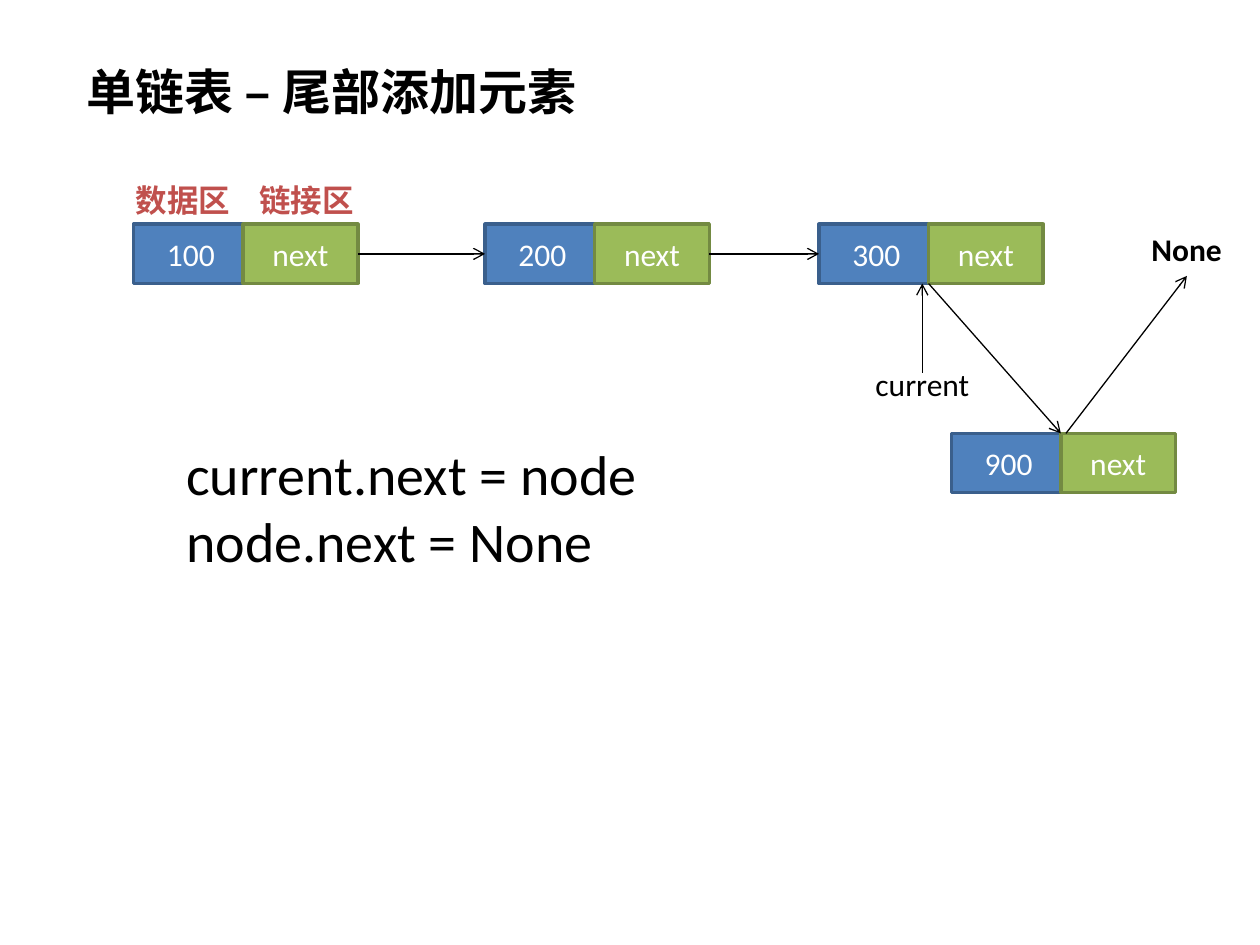
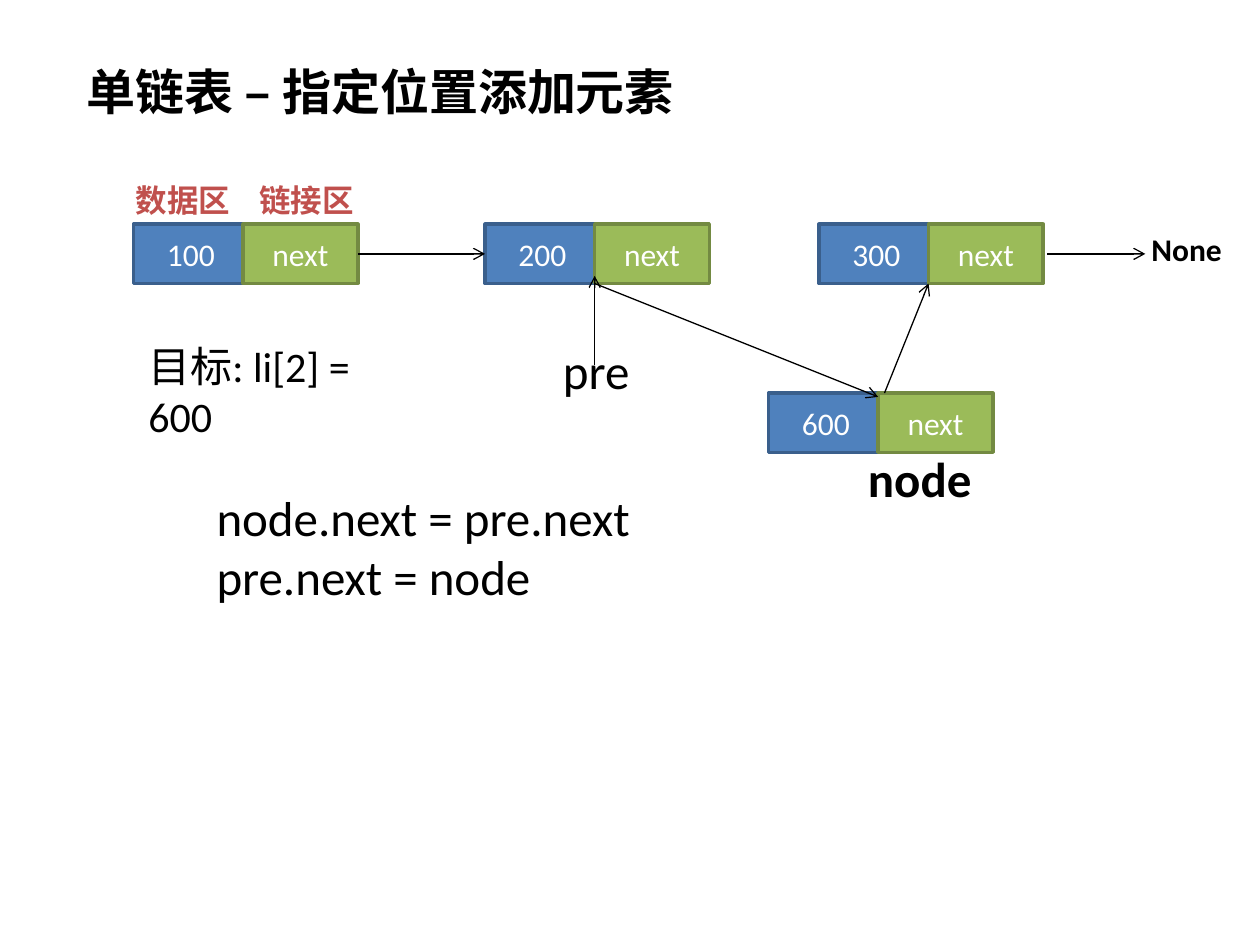
from dataclasses import dataclass

from lxml.etree import SubElement
from pptx import Presentation
from pptx.dml.color import RGBColor
from pptx.enum.shapes import MSO_CONNECTOR, MSO_SHAPE
from pptx.enum.text import MSO_ANCHOR, PP_ALIGN
from pptx.oxml.ns import qn
from pptx.util import Inches, Pt


@dataclass(frozen=True)
class Theme:
    font: str = "Calibri"
    black: str = "000000"
    white: str = "FFFFFF"
    red: str = "C0504D"
    data_fill: str = "4F81BD"
    data_line: str = "3A5F8C"
    next_fill: str = "9BBB59"
    next_line: str = "738A42"
    small: int = 18
    medium: int = 24
    large: int = 28
    huge: int = 32
    cell_line: float = 2
    arrow_line: float = 0.75


THEME = Theme()
CELL_WIDTH, CELL_HEIGHT = 0.91, 0.47
NEXT_OFFSET = 0.87
LIST_TOP = 1.78
LIST_MIDDLE = LIST_TOP + CELL_HEIGHT / 2
LIST_BOTTOM = LIST_TOP + CELL_HEIGHT
LIST_NODES = {"100": 1.06, "200": 3.85, "300": 6.5}
LEFT, RIGHT = 1, 3


def set_attributes(target, values):
    for name, value in values.items():
        setattr(target, name, value)


def write_lines(frame, lines, size, color, bold=False, align=PP_ALIGN.LEFT):
    for index, line in enumerate(lines):
        para = frame.paragraphs[0] if index == 0 else frame.add_paragraph()
        para.alignment = align
        span = para.add_run()
        span.text = line
        set_attributes(span.font, {"name": THEME.font, "size": Pt(size), "bold": bold})
        span.font.color.rgb = RGBColor.from_string(color)


def add_text(page, area, lines, size, color=THEME.black, bold=False, wrap=False):
    box = page.shapes.add_textbox(*map(Inches, area))
    box.text_frame.word_wrap = wrap
    write_lines(box.text_frame, lines, size, color, bold)


def add_cell(page, left, top, text, fill, line):
    cell = page.shapes.add_shape(
        MSO_SHAPE.RECTANGLE, *map(Inches, (left, top, CELL_WIDTH, CELL_HEIGHT)))
    cell.shadow.inherit = False
    cell.fill.solid()
    cell.fill.fore_color.rgb = RGBColor.from_string(fill)
    cell.line.color.rgb = RGBColor.from_string(line)
    cell.line.width = Pt(THEME.cell_line)
    cell.text_frame.vertical_anchor = MSO_ANCHOR.MIDDLE
    write_lines(cell.text_frame, [text], THEME.small, THEME.white, align=PP_ALIGN.CENTER)
    return cell


def add_node(page, left, top, value):
    """Draw a list node and return its data cell and its link cell."""
    data_cell = add_cell(page, left, top, value, THEME.data_fill, THEME.data_line)
    next_cell = add_cell(page, left + NEXT_OFFSET, top, "next",
                         THEME.next_fill, THEME.next_line)
    return data_cell, next_cell


def add_arrow(page, start, end):
    arrow = page.shapes.add_connector(
        MSO_CONNECTOR.STRAIGHT, *map(Inches, (*start, *end)))
    arrow.line.color.rgb = RGBColor.from_string(THEME.black)
    arrow.line.width = Pt(THEME.arrow_line)
    properties = arrow._element.spPr
    SubElement(properties.find(qn("a:ln")), qn("a:tailEnd"), type="arrow")
    SubElement(properties, qn("a:effectLst"))
    return arrow


def link_nodes(page, source, target):
    arrow = add_arrow(page, (0, 0), (0, 0))
    arrow.begin_connect(source[1], RIGHT)
    arrow.end_connect(target[0], LEFT)


def add_list_page(deck, title, title_width):
    """Add a page with the title, the three list nodes and the None label."""
    page = deck.slides.add_slide(deck.slide_layouts[6])
    add_text(page, (0.59, 0.44, title_width, 0.57), [title], THEME.large, bold=True)
    nodes = [add_node(page, left, LIST_TOP, value) for value, left in LIST_NODES.items()]
    add_text(page, (9.04, LIST_TOP, 0.76, 0.4), ["None"], THEME.small, bold=True)
    for left, label in ((0.98, "数据区"), (1.96, "链接区")):
        add_text(page, (left, 1.39, 0.95, 0.4), [label], THEME.small, THEME.red, bold=True)
    link_nodes(page, nodes[0], nodes[1])
    return page, nodes


def build_append_page(deck):
    page, nodes = add_list_page(deck, "单链表 – 尾部添加元素", 4.13)
    link_nodes(page, nodes[1], nodes[2])
    new_left, new_top = 7.55, 3.44
    add_node(page, new_left, new_top, "900")
    add_arrow(page, (LIST_NODES["300"] + NEXT_OFFSET, LIST_BOTTOM),
              (new_left + NEXT_OFFSET, new_top))
    add_arrow(page, (8.46, new_top), (9.42, 2.19))
    add_text(page, (1.38, 3.44, 5.58, 1.18),
             ["current.next = node", "node.next = None"], THEME.huge, wrap=True)
    add_arrow(page, (7.32, 2.96), (7.32, LIST_BOTTOM))
    add_text(page, (6.85, 2.85, 1.03, 0.4), ["current"], THEME.small, wrap=True)


def build_insert_page(deck):
    page, _ = add_list_page(deck, "单链表 – 指定位置添加元素", 4.92)
    add_arrow(page, (8.31, LIST_MIDDLE), (9.09, LIST_MIDDLE))
    add_text(page, (1.08, 2.65, 2.3, 0.5), ["目标: li[2] = 600"], THEME.medium, wrap=True)
    new_left, new_top = 6.1, 3.12
    add_node(page, new_left, new_top, "600")
    previous_link = LIST_NODES["200"] + NEXT_OFFSET
    add_arrow(page, (previous_link, LIST_BOTTOM), (new_left + NEXT_OFFSET, 3.15))
    add_arrow(page, (7.02, new_top), (LIST_NODES["300"] + NEXT_OFFSET, LIST_BOTTOM))
    add_arrow(page, (previous_link, 2.9), (previous_link, 2.19))
    add_text(page, (4.37, 2.65, 0.73, 0.57), ["pre"], THEME.large)
    add_text(page, (6.79, 3.51, 1.03, 0.57), ["node"], THEME.large, bold=True)
    add_text(page, (1.62, 3.82, 4.09, 1.04),
             ["node.next = pre.next", "pre.next = node"], THEME.large, wrap=True)


def main():
    deck = Presentation()
    set_attributes(deck, {"slide_width": Inches(10), "slide_height": Inches(7.5)})
    build_append_page(deck)
    build_insert_page(deck)
    deck.save("out.pptx")


if __name__ == "__main__":
    main()
